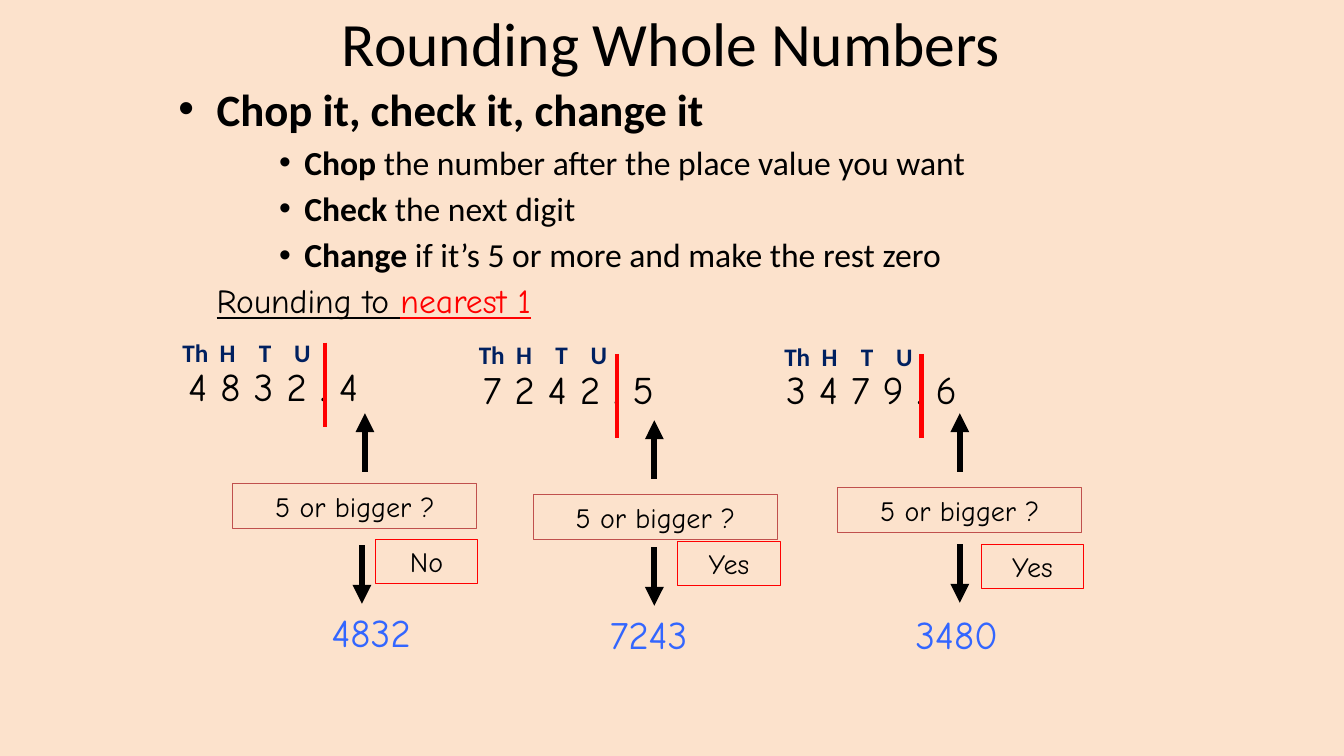
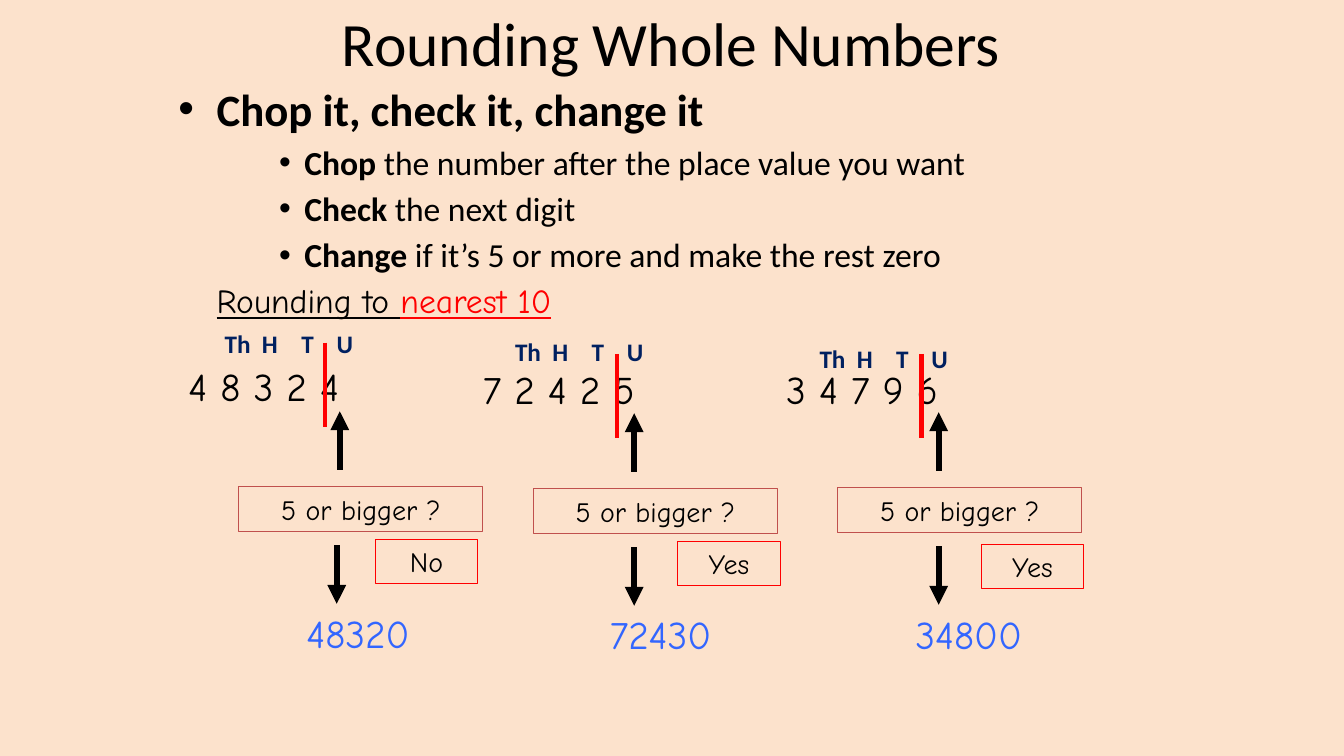
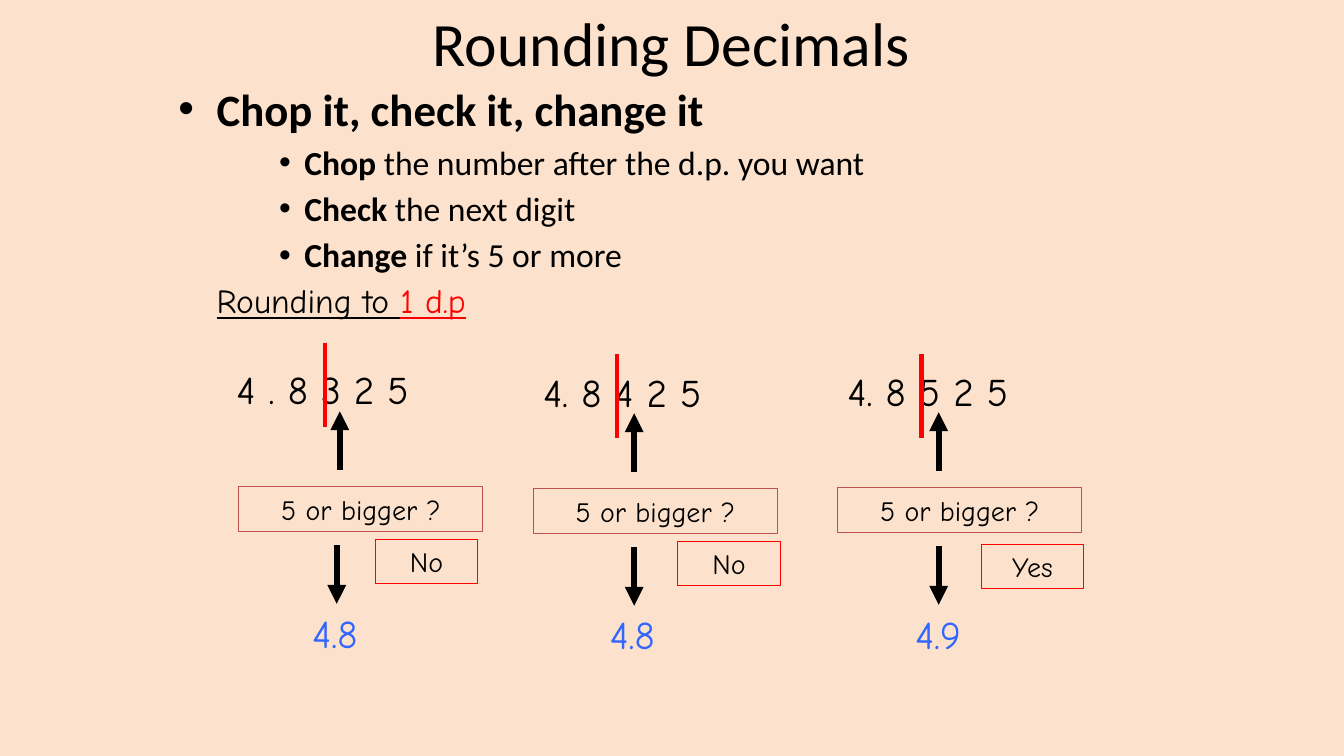
from lxml import etree
from pptx import Presentation
from pptx.dml.color import RGBColor
from pptx.enum.shapes import MSO_CONNECTOR, MSO_SHAPE
from pptx.enum.text import MSO_ANCHOR, PP_ALIGN
from pptx.oxml.ns import qn
from pptx.util import Inches, Pt

LINE, RECT = MSO_CONNECTOR.STRAIGHT, MSO_SHAPE.RECTANGLE
MIDDLE, LEFT, CENTER = MSO_ANCHOR.MIDDLE, PP_ALIGN.LEFT, PP_ALIGN.CENTER

SANS, HAND = "Calibri", "Comic Neue"
PAPER, BLACK, RED = "FCE2CC", "000000", "FF0000"
NAVY, BLUE, BRICK = "002060", "3366FF", "C0504D"

MOTTO = "Chop it, check it, change it"
ASK = "5 or bigger ?"
PLACES = ["Th", "H", "T", "U"]
STOPS = [0.37, 0.76, 1.11]
ARROW, CUT = 0.58, 0.84

# Usual left and top of each part, one dict per worked example
COLUMNS = [
    dict(digits=(1.77, 3.55), cut=(3.22, 3.4), ask=(2.37, 4.83), up=(3.37, 4.08),
         down=(3.34, 5.41), reply=(3.72, 5.35), out=(2.94, 6)),
    dict(digits=(4.69, 3.58), cut=(6.12, 3.51), ask=(5.29, 4.85), up=(6.29, 4.1),
         down=(6.29, 5.43), reply=(6.72, 5.37), out=(5.95, 6.01)),
    dict(digits=(7.7, 3.58), cut=(9.14, 3.51), ask=(8.31, 4.84), up=(9.31, 4.09),
         down=(9.31, 5.42), reply=(9.73, 5.4), out=(8.98, 6.01)),
]

WHOLE = [("Chop", " the number after the place value you want"),
         ("Check", " the next digit"),
         ("Change", " if it’s 5 or more and make the rest zero")]
DECIMAL = [("Chop", " the number after the d.p. you want"),
           ("Check", " the next digit"),
           ("Change", " if it’s 5 or more")]

# Each example: digits, reply, answer, and the parts that sit elsewhere
SLIDES = [
    dict(title="Rounding Whole Numbers", steps=WHOLE, goal="nearest 1", examples=[
        ("4 8 3 2 . 4", "No", "4832",
         dict(heads=(1.71, 3.3), ask=(2.31, 4.8), up=(3.62, 4.1),
              down=(3.59, 5.41), out=(3.19, 5.99))),
        ("7 2 4 2 . 5", "Yes", "7243",
         dict(heads=(4.65, 3.32), ask=(5.29, 4.91), up=(6.49, 4.17), down=(6.49, 5.43))),
        ("3 4 7 9 . 6", "Yes", "3480",
         dict(heads=(7.68, 3.34), up=(9.52, 4.1), down=(9.52, 5.4))),
    ]),
    dict(title="Rounding Whole Numbers", steps=WHOLE, goal="nearest 10", examples=[
        ("4 8 3 2 4", "No", "48320", dict(heads=(2.13, 3.21))),
        ("7 2 4 2 5", "Yes", "72430", dict(heads=(5.01, 3.29))),
        ("3 4 7 9 6", "Yes", "34800", dict(heads=(8.03, 3.36))),
    ]),
    dict(title="Rounding Decimals", steps=DECIMAL, goal="1 d.p", examples=[
        ("4 . 8 3 2 5", "No", "4.8", dict(digits=(2.25, 3.58), out=(3, 6))),
        ("4. 8 4 2 5", "No", "4.8", dict(digits=(5.29, 3.6))),
        ("4. 8 5 2 5", "Yes", "4.9", dict(digits=(8.31, 3.59))),
    ]),
]


def color(code):
    return RGBColor.from_string(code)


def style(para, size, font=SANS, ink=BLACK, bold=False, align=LEFT):
    para.alignment = align
    para.font.size, para.font.name, para.font.bold = Pt(size), font, bold
    para.font.color.rgb = color(ink)


def add_box(slide, spot, size):
    frame = slide.shapes.add_textbox(*map(Inches, spot + size)).text_frame
    frame.word_wrap = True
    return frame


def add_text(slide, spot, size, text, *look, **more):
    frame = add_box(slide, spot, size)
    frame.text = text
    style(frame.paragraphs[0], *look, **more)
    return frame


def add_frame(slide, spot, size, text, edge):
    """Outlined, unfilled rectangle with a centred label."""
    box = slide.shapes.add_shape(RECT, *map(Inches, spot + size))
    box.shadow.inherit = False
    box.fill.background()
    box.line.color.rgb, box.line.width = color(edge), Pt(0.75)
    box.text_frame.text = text
    style(box.text_frame.paragraphs[0], 20, HAND, align=CENTER)


def add_line(slide, x, start, end, ink, width, arrow=False):
    """Vertical line, with an optional arrowhead at its end."""
    line = slide.shapes.add_connector(LINE, *map(Inches, (x, start, x, end)))
    line.line.color.rgb, line.line.width = color(ink), Pt(width)
    if arrow:
        etree.SubElement(line.line._get_or_add_ln(), qn("a:tailEnd"), type="triangle")
    etree.SubElement(line._element.spPr, qn("a:effectLst"))


def add_bullet(para, margin, hang):
    props = para._p.get_or_add_pPr()
    props.set("marL", str(Inches(margin)))
    props.set("indent", str(-Inches(hang)))
    etree.SubElement(props, qn("a:buFont"), typeface="Arial")
    etree.SubElement(props, qn("a:buChar"), char="•")


def add_steps(slide, steps):
    frame = add_box(slide, (1.67, 0.76), (10, 2.07))
    head = frame.paragraphs[0]
    head.text = MOTTO
    add_bullet(head, 0.38, 0.38)
    style(head, 32, bold=True)
    for verb, rest in steps:
        para = frame.add_paragraph()
        add_bullet(para, 1.25, 0.25)
        style(para, 24)
        para.space_before = Pt(4.4)
        run = para.add_run()
        run.text, run.font.bold = verb, True
        para.add_run().text = rest


def add_goal(slide, goal):
    para = add_box(slide, (2.05, 2.73), (3.99, 0.5)).paragraphs[0]
    style(para, 24, HAND)
    para.font.underline = True
    para.add_run().text = "Rounding to "
    run = para.add_run()
    run.text, run.font.color.rgb = goal, color(RED)


def add_heads(slide, spot):
    """Place value letters, spaced by tab stops."""
    para = add_box(slide, spot, (1.49, 0.4)).paragraphs[0]
    tabs = etree.SubElement(para._p.get_or_add_pPr(), qn("a:tabLst"))
    for stop in STOPS:
        etree.SubElement(tabs, qn("a:tab"), pos=str(Inches(stop)), algn="l")
    para.add_run().text = "\t".join(PLACES)
    style(para, 18, ink=NAVY, bold=True)


def add_example(slide, at, digits, reply, answer):
    add_text(slide, at["digits"], (2.5, 0.57), digits, 28, HAND)
    x, top = at["cut"]
    add_line(slide, x, top, top + CUT, RED, 3)
    add_frame(slide, at["ask"], (2.42, 0.44), ASK, BRICK)
    x, top = at["up"]
    add_line(slide, x, top + ARROW, top, BLACK, 4.5, arrow=True)
    x, top = at["down"]
    add_line(slide, x, top, top + ARROW, BLACK, 4.5, arrow=True)
    add_text(slide, at["out"], (1.5, 0.57), answer, 28, HAND, BLUE)
    add_frame(slide, at["reply"], (1.02, 0.44), reply, RED)
    if "heads" in at:
        add_heads(slide, at["heads"])


def main():
    deck = Presentation()
    deck.slide_width, deck.slide_height = Inches(13.33), Inches(7.5)
    for page in SLIDES:
        slide = deck.slides.add_slide(deck.slide_layouts[6])
        slide.background.fill.solid()
        slide.background.fill.fore_color.rgb = color(PAPER)
        title = add_text(slide, (1.65, 0), (10.02, 0.84), page["title"], 44, align=CENTER)
        title.vertical_anchor = MIDDLE
        add_steps(slide, page["steps"])
        add_goal(slide, page["goal"])
        for usual, (digits, reply, answer, moved) in zip(COLUMNS, page["examples"]):
            add_example(slide, {**usual, **moved}, digits, reply, answer)
    deck.save("out.pptx")


if __name__ == "__main__":
    main()
